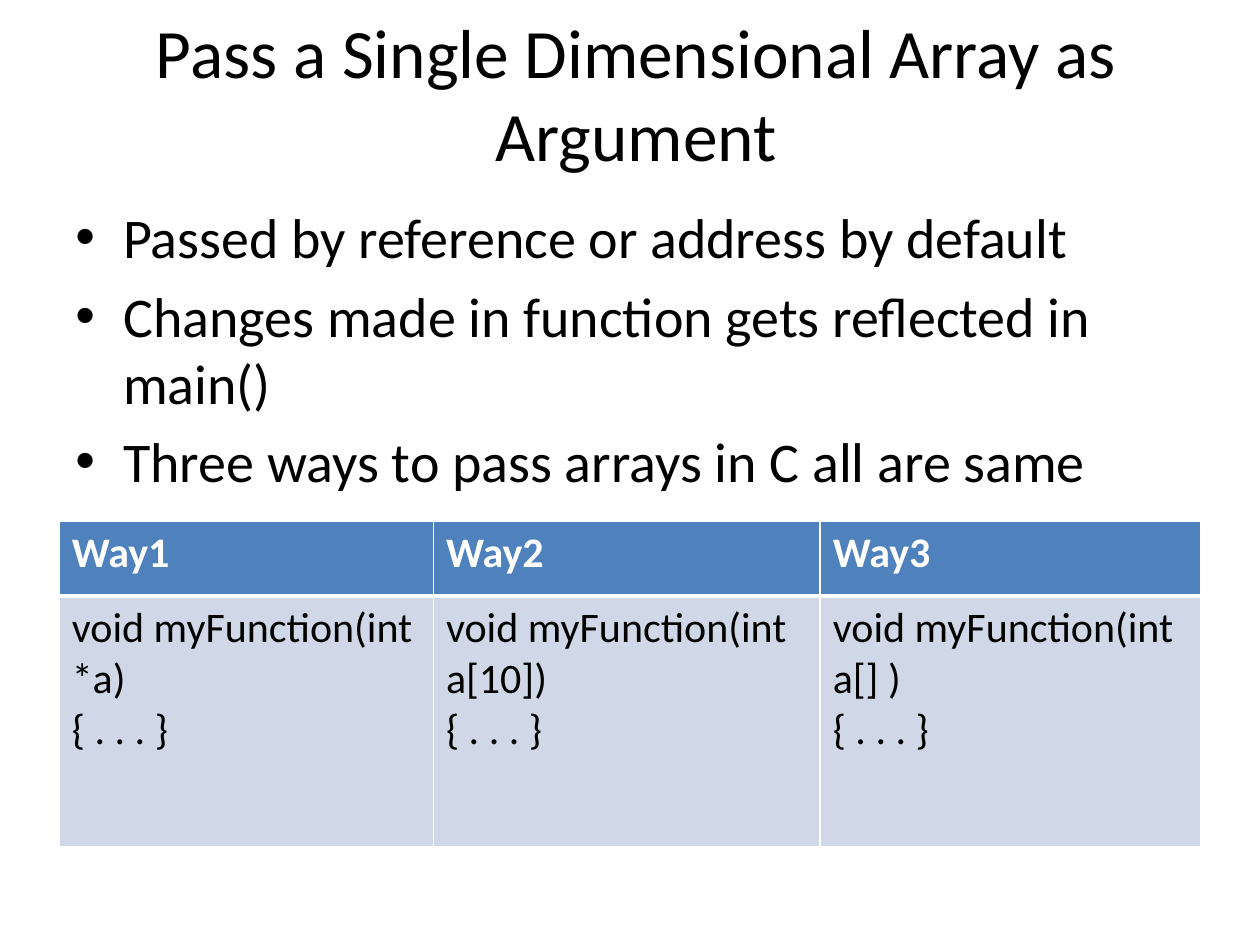
from lxml.etree import SubElement
from pptx import Presentation
from pptx.dml.color import RGBColor
from pptx.enum.text import MSO_ANCHOR, PP_ALIGN
from pptx.oxml.ns import qn
from pptx.util import Inches, Pt

TITLE = "Pass a Single Dimensional Array as Argument"
BULLETS = [
    "Passed by reference or address by default",
    "Changes made in function gets reflected in main()",
    "Three ways to pass arrays in C all are same",
]
WAYS = [
    ("Way1", ["void myFunction(int *a)", "{ . . . }"]),
    ("Way2", ["void myFunction(int a[10])", "{ . . . }"]),
    ("Way3", ["void myFunction(int a[] )", "{ . . . }"]),
]
COLUMN_WIDTHS = [2.97, 3.07, 3.02]
ROW_HEIGHTS = [0.59, 1.99]

TITLE_FORMAT = {"size": Pt(39.6), "color": "000000"}
BULLET_FORMAT = {"size": Pt(32), "color": "000000"}
HEADER_FORMAT = {"size": Pt(24), "color": "FFFFFF", "bold": True}
CODE_FORMAT = {"size": Pt(24), "color": "000000", "bold": False}


def color(value):
    return RGBColor.from_string(value)


def write(text_frame, lines, format_values):
    text_frame.word_wrap = True
    for index, line in enumerate(lines):
        paragraph = text_frame.paragraphs[0] if index == 0 else text_frame.add_paragraph()
        run = paragraph.add_run()
        run.text = line
        run.font.name = "Calibri"
        for name, value in format_values.items():
            if name == "color":
                run.font.color.rgb = color(value)
            else:
                setattr(run.font, name, value)
    return text_frame.paragraphs


def add_text(slide, box, lines, format_values, anchor):
    shape = slide.shapes.add_textbox(*map(Inches, box))
    shape.text_frame.vertical_anchor = anchor
    return write(shape.text_frame, lines, format_values)


def add_bullet(paragraph):
    paragraph.space_before = Pt(6.4)
    properties = paragraph._p.get_or_add_pPr()
    properties.set("marL", str(Inches(0.38)))
    properties.set("indent", str(-Inches(0.38)))
    SubElement(properties, qn("a:buFont"), typeface="Arial")
    SubElement(properties, qn("a:buChar"), char="•")


def add_borders(cell, widths):
    properties = cell._tc.get_or_add_tcPr()
    for position, (side, width) in enumerate(widths.items()):
        line = properties.makeelement(qn(f"a:{side}"), {"w": str(Pt(width))})
        fill = SubElement(line, qn("a:solidFill"))
        SubElement(fill, qn("a:srgbClr"), val="FFFFFF")
        properties.insert(position, line)


def fill_cell(cell, lines, format_values, fill, top, bottom):
    write(cell.text_frame, lines, format_values)
    cell.fill.solid()
    cell.fill.fore_color.rgb = color(fill)
    add_borders(cell, {"lnL": 1, "lnR": 1, "lnT": top, "lnB": bottom})


def add_ways_table(slide):
    size = (sum(COLUMN_WIDTHS), sum(ROW_HEIGHTS))
    table = slide.shapes.add_table(
        len(ROW_HEIGHTS), len(WAYS), *map(Inches, (0.47, 4.14, *size))
    ).table
    for column, width in zip(table.columns, COLUMN_WIDTHS):
        column.width = Inches(width)
    for row, height in zip(table.rows, ROW_HEIGHTS):
        row.height = Inches(height)
    for index, (heading, code) in enumerate(WAYS):
        fill_cell(table.cell(0, index), [heading], HEADER_FORMAT, "4F81BD", 1, 3)
        fill_cell(table.cell(1, index), code, CODE_FORMAT, "D0D8E8", 3, 1)


def main():
    presentation = Presentation()
    presentation.slide_width = Inches(10)
    presentation.slide_height = Inches(7.5)
    slide = presentation.slides.add_slide(presentation.slide_layouts[6])

    title = add_text(slide, (0.55, 0.22, 9, 1.03), [TITLE], TITLE_FORMAT, MSO_ANCHOR.MIDDLE)
    title[0].alignment = PP_ALIGN.CENTER
    for paragraph in add_text(slide, (0.5, 1.56, 9, 2.73), BULLETS, BULLET_FORMAT, MSO_ANCHOR.TOP):
        add_bullet(paragraph)
    add_ways_table(slide)

    presentation.save("out.pptx")


if __name__ == "__main__":
    main()
